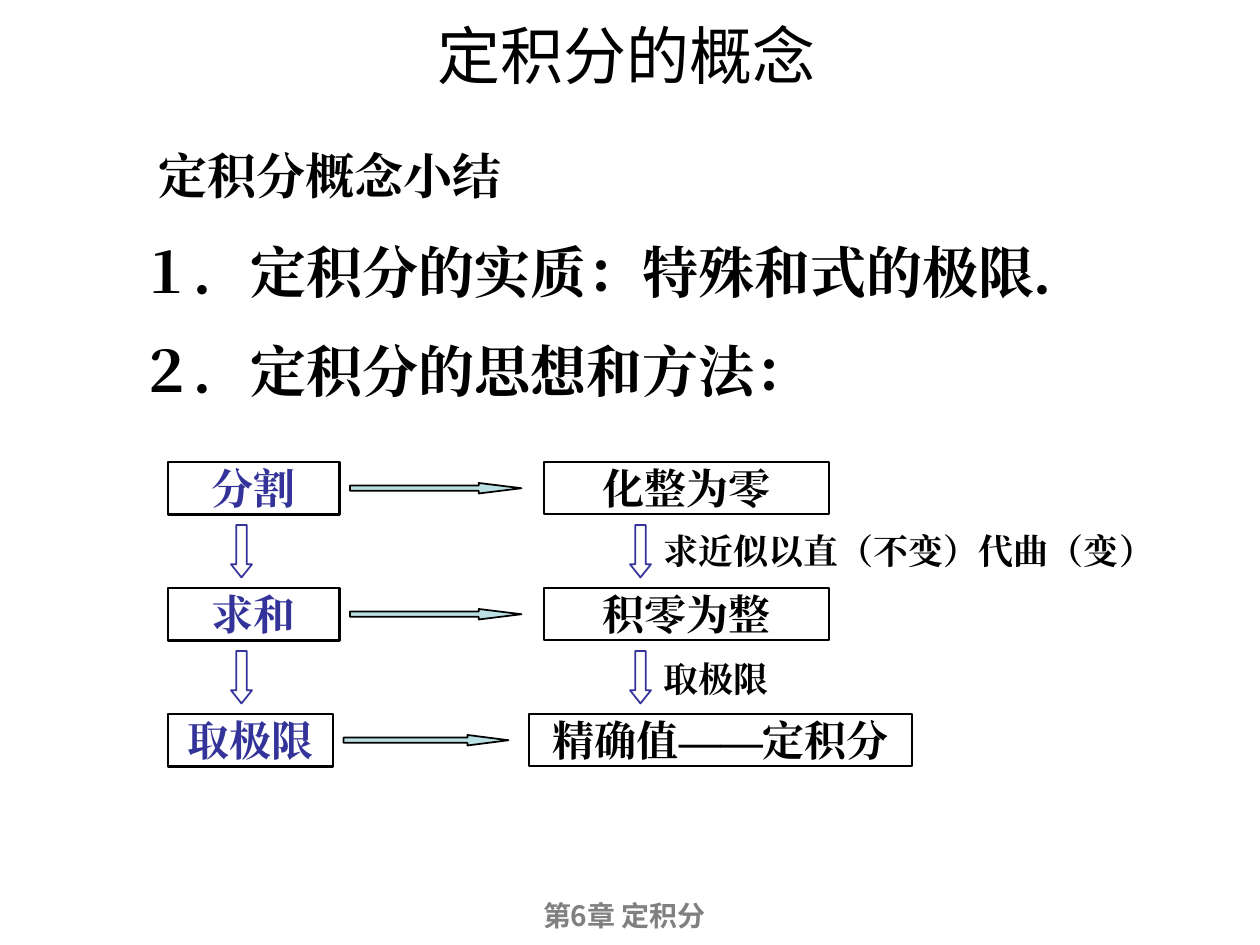
from pptx import Presentation
from pptx.dml.color import RGBColor as Rgb
from pptx.enum.shapes import MSO_SHAPE as Shape
from pptx.enum.text import MSO_ANCHOR as Anchor, PP_ALIGN as Align
from pptx.util import Pt
from lxml.etree import SubElement as Sub
from pptx.oxml.ns import qn

BLACK = Rgb(0, 0, 0)
GRAY = Rgb(0x80, 0x80, 0x80)
BLUE = Rgb(0x33, 0x33, 0x99)
TEAL = Rgb(0xBB, 0xE0, 0xE3)
ROMAN = "Times New Roman"
SANS = "Noto Sans CJK "
TOP, STEP, HIGH = 264, 72, 30


def put(item, vals):
    for key, val in vals.items():
        setattr(item, key, val)


def write(shape, text, size, tint=BLACK, face=ROMAN, bold=True,
          align=Align.LEFT, wrap=True, anchor=Anchor.TOP):
    frame = shape.text_frame
    put(frame, {"word_wrap": wrap, "vertical_anchor": anchor})
    para = frame.paragraphs[0]
    para.alignment = align
    run = para.add_run()
    run.text = text
    put(run.font, {"name": face, "size": Pt(size), "bold": bold})
    run.font.color.rgb = tint
    Sub(run.font._element, qn("a:ea")).set("typeface", face)


def label(slide, area, text, size, **form):
    box = slide.shapes.add_textbox(*map(Pt, area))
    write(box, text, size, **form)


def draw(slide, kind, area, line, width=1, fill=None, adjust=()):
    shape = slide.shapes.add_shape(kind, *map(Pt, area))
    shape.shadow.inherit = False
    shape.line.color.rgb = line
    shape.line.width = Pt(width)
    if fill is None:
        shape.fill.background()
    else:
        shape.fill.solid()
        shape.fill.fore_color.rgb = fill
    for num, val in enumerate(adjust):
        shape.adjustments[num] = val
    return shape


def node(slide, area, text, tint, width):
    box = draw(slide, Shape.RECTANGLE, area, BLACK, width)
    write(box, text, 24, tint, align=Align.CENTER, wrap=False,
          anchor=Anchor.MIDDLE)


def row(slide, top, left, right, wide, arrow, goal, span, tip):
    node(slide, (96, top, wide, HIGH), left, BLUE, 1.5)
    node(slide, (goal, top, span, HIGH), right, BLACK, 1)
    draw(slide, Shape.RIGHT_ARROW, (arrow, top + 12, wide, 6), BLACK,
         fill=TEAL, adjust=(0.5, tip))


def main():
    deck = Presentation()
    put(deck, {"slide_width": Pt(720), "slide_height": Pt(540)})
    slide = deck.slides.add_slide(deck.slide_layouts[6])

    label(slide, (24, 6, 667.5, 50.5), "定积分的概念", 36,
          face=SANS + "JP", bold=False, align=Align.CENTER)
    label(slide, (23, 510, 667.5, 26.5), "第6章 定积分", 16,
          tint=GRAY, face=SANS + "SC", align=Align.CENTER)
    label(slide, (83.5, 79.5, 210, 41), "定积分概念小结", 28, wrap=False)
    label(slide, (72, 132, 582, 46), "１．定积分的实质：特殊和式的极限．", 32)
    label(slide, (72, 188.5, 516, 46), "２．定积分的思想和方法：", 32)

    rows = (
        ("分割", "化整为零", 98, 200, 311, 163, 4.07),
        ("求和", "积零为整", 98, 200, 311, 163, 4.07),
        ("取极限", "精确值——定积分", 94.3, 196.3, 302.4, 219, 3.91),
    )
    for num, cells in enumerate(rows):
        row(slide, TOP + num * STEP, *cells)
    for num in range(len(rows) - 1):
        for left in (132, 360):
            draw(slide, Shape.DOWN_ARROW,
                 (left, TOP + 36 + num * STEP, 12, HIGH), BLUE,
                 adjust=(0.5, 0.625))

    label(slide, (372, 299, 330, 31.5), "求近似以直（不变）代曲（变）", 20)
    label(slide, (372, 372, 150, 31.5), "取极限", 20)
    deck.save("out.pptx")


if __name__ == "__main__":
    main()
